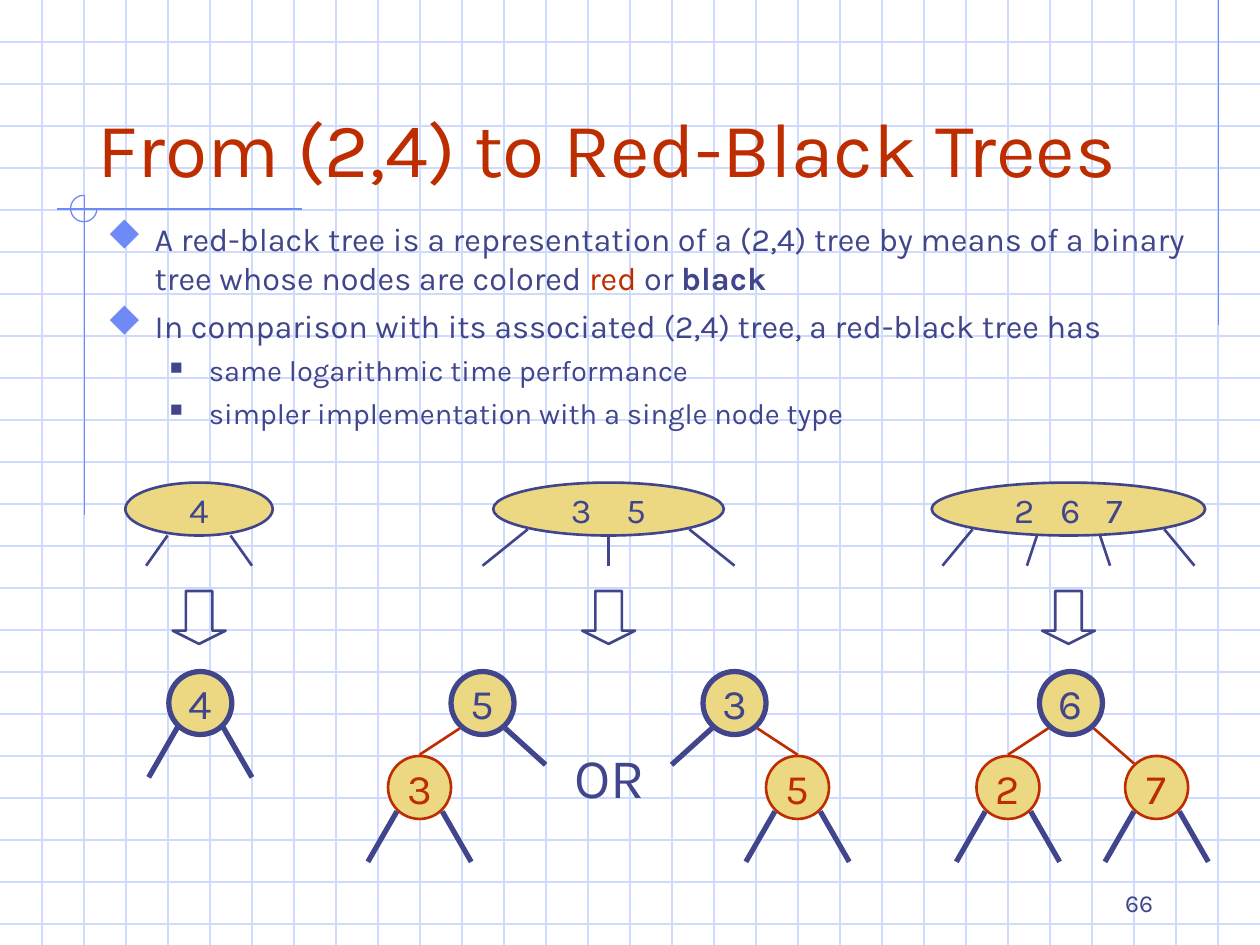
import dataclasses

import pptx
import pptx.dml.color
import pptx.enum.shapes
import pptx.enum.text
import pptx.oxml.ns
import pptx.util
from lxml import etree
from pptx.util import Inches


@dataclasses.dataclass(frozen=True)
class Theme:
    font: str = "Karla"
    bullet_font: str = "Wingdings"
    ink: str = "40458C"
    red: str = "BE2D00"
    accent: str = "6F89F7"
    grid: str = "CFDBFD"
    node: str = "ECD882"
    title_size: float = 44
    body_size: float = 18.5
    sub_size: float = 16.6
    key_size: float = 20
    node_size: float = 24
    or_size: float = 32
    number_size: float = 14
    hair: float = 0.75
    thin: float = 1.5
    thick: float = 3


theme = Theme()
rgb = pptx.dml.color.RGBColor.from_string
qn = pptx.oxml.ns.qn
shape_type = pptx.enum.shapes.MSO_SHAPE
alignment = pptx.enum.text.PP_ALIGN
anchor = pptx.enum.text.MSO_ANCHOR

presentation = pptx.Presentation()
presentation.slide_width = Inches(10)
presentation.slide_height = Inches(7.5)
slide = presentation.slides.add_slide(presentation.slide_layouts[5])
shapes = slide.shapes


def add_line(x1, y1, x2, y2, color, width):
    line = shapes.add_connector(pptx.enum.shapes.MSO_CONNECTOR.STRAIGHT,
                                Inches(x1), Inches(y1), Inches(x2), Inches(y2))
    line.line.color.rgb = rgb(color)
    line.line.width = pptx.util.Pt(width)
    etree.SubElement(line._element.spPr, qn("a:effectLst"))


def add_oval(center, top, width, height, keys, size, color, outline, gap=0):
    oval = shapes.add_shape(shape_type.OVAL, Inches(center - width / 2), Inches(top),
                            Inches(width), Inches(height))
    oval.shadow.inherit = False
    oval.fill.solid()
    oval.fill.fore_color.rgb = rgb(theme.node)
    oval.line.color.rgb = rgb(color)
    oval.line.width = pptx.util.Pt(outline)
    frame = oval.text_frame
    frame.word_wrap = False
    frame.vertical_anchor = anchor.MIDDLE
    paragraph = frame.paragraphs[0]
    paragraph.alignment = alignment.CENTER
    for character in " ".join(keys):
        run = paragraph.add_run()
        run.text = character
        run.font.name = theme.font
        run.font.size = pptx.util.Pt(size)
        run.font.color.rgb = rgb(color)
        if character == " ":
            run.font._element.set("spc", str(gap * 100))


for row in range(1, 23):
    add_line(0, row / 3, 10, row / 3, theme.grid, theme.hair)
for column in range(1, 30):
    add_line(column / 3, 0, column / 3, 7.5, theme.grid, theme.hair)
for ends in [(9.67, 0, 9.67, 2.58), (2.4, 1.66, 0.45, 1.66), (0.67, 1.55, 0.67, 4.09)]:
    add_line(*ends, theme.accent, theme.hair)

arc = shapes.add_shape(shape_type.ARC, Inches(0.56), Inches(1.55), Inches(0.21), Inches(0.21))
arc.adjustments[0] = 0
arc.adjustments[1] = 162
arc.shadow.inherit = False
arc.fill.background()
arc.line.color.rgb = rgb(theme.accent)
arc.line.width = pptx.util.Pt(theme.hair)

title = shapes.title
shapes._spTree.append(title._element)
title.left, title.top, title.width, title.height = (
    Inches(0.67), Inches(0.33), Inches(8.92), Inches(1.25))
title.text_frame.vertical_anchor = anchor.BOTTOM
title.text_frame.auto_size = pptx.enum.text.MSO_AUTO_SIZE.NONE
paragraph = title.text_frame.paragraphs[0]
paragraph.alignment = alignment.LEFT
run = paragraph.add_run()
run.text = "From (2,4) to Red-Black Trees"
run.font.name = theme.font
run.font.size = pptx.util.Pt(theme.title_size)
run.font.color.rgb = rgb(theme.red)

body = shapes.add_textbox(Inches(0.75), Inches(1.69), Inches(8.83), Inches(1.98))
body.text_frame.word_wrap = True
levels = [
    (0.38, 0.38, "u", theme.accent, 110, theme.body_size, 5),
    (0.81, 0.31, "n", theme.ink, 60, theme.sub_size, 4.5),
]
points = [
    (0, [("A red-black tree is a representation of a (2,4) tree by means of a binary "
          "tree whose nodes are colored ", theme.ink, False),
         ("red", theme.red, False), (" or ", theme.ink, False), ("black", theme.ink, True)]),
    (0, [("In comparison with its associated (2,4) tree, a red-black tree has",
          theme.ink, False)]),
    (1, [("same logarithmic time performance", theme.ink, False)]),
    (1, [("simpler implementation with a single node type", theme.ink, False)]),
]
for index, (level, runs) in enumerate(points):
    margin, hanging, bullet, bullet_color, bullet_scale, size, space = levels[level]
    paragraph = body.text_frame.paragraphs[0] if index == 0 else body.text_frame.add_paragraph()
    paragraph.level = level
    properties = paragraph._p.get_or_add_pPr()
    properties.set("marL", str(Inches(margin)))
    properties.set("indent", str(-Inches(hanging)))
    color_element = etree.SubElement(properties, qn("a:buClr"))
    etree.SubElement(color_element, qn("a:srgbClr"), val=bullet_color)
    etree.SubElement(properties, qn("a:buSzPct"), val=str(bullet_scale * 1000))
    etree.SubElement(properties, qn("a:buFont"), typeface=theme.bullet_font,
                     pitchFamily="2", charset="2")
    etree.SubElement(properties, qn("a:buChar"), char=bullet)
    if index:
        paragraph.space_before = pptx.util.Pt(space)
    for text, color, bold in runs:
        run = paragraph.add_run()
        run.text = text
        run.font.name = theme.font
        run.font.size = pptx.util.Pt(size)
        run.font.bold = bold
        run.font.color.rgb = rgb(color)

multiway_nodes = [
    (1.58, 1.17, "4", 0, [(0.25, 4.25, 0.42)]),
    (4.83, 1.83, "35", 15, [(0, 4.25, 0), (0.64, 4.2, 1)]),
    (8.48, 2.17, "267", 10, [(0.25, 4.25, 0.33), (0.76, 4.2, 1)]),
]
for center, width, keys, gap, branches in multiway_nodes:
    add_oval(center, 3.83, width, 0.42, keys, theme.key_size, theme.ink, theme.thin, gap)
    for start, top, end in branches:
        for side in ((-1, 1) if start else (1,)):
            add_line(center + side * start, top, center + side * end, 4.49,
                     theme.ink, theme.thin)
    arrow = shapes.add_shape(shape_type.DOWN_ARROW, Inches(center - 0.21), Inches(4.69),
                             Inches(0.42), Inches(0.42))
    arrow.adjustments[0] = 0.5
    arrow.adjustments[1] = 0.25
    arrow.shadow.inherit = False
    arrow.fill.background()
    arrow.line.color.rgb = rgb(theme.ink)
    arrow.line.width = pptx.util.Pt(theme.thin)

binary_trees = [
    (1.59, "4", []),
    (3.83, "5", [(-1, 3.33, "3", 5.99), (1, None, None, 6.07)]),
    (5.83, "3", [(-1, None, None, 6.07), (1, 6.33, "5", 5.99)]),
    (8.5, "6", [(-1, 8, "2", 5.99), (1, 9.18, "7", 6.06)]),
]
for root, root_key, children in binary_trees:
    add_oval(root, 5.33, 0.5, 0.5, root_key, theme.node_size, theme.ink, theme.thick)
    parents = [] if children else [(root, 5.33)]
    for side, center, key, end in children:
        color, width = (theme.red, theme.thin) if key else (theme.ink, theme.thick)
        add_line(root + side * 0.18, 5.78, root + side * 0.5, end, color, width)
        if key:
            add_oval(center, 6, 0.5, 0.5, key, theme.node_size, theme.red, theme.thin)
            parents.append((center, 6))
    for center, top in parents:
        for side in (-1, 1):
            add_line(center + side * 0.18, top + 0.44, center + side * 0.41, top + 0.84,
                     theme.ink, theme.thick)

labels = [
    ("OR", 4.43, 5.84, 0.82, 0.64, theme.or_size, alignment.CENTER, anchor.TOP),
    ("66", 7.17, 6.83, 2.08, 0.5, theme.number_size, alignment.RIGHT, anchor.BOTTOM),
]
for text, left, top, width, height, size, align, vertical in labels:
    label = shapes.add_textbox(Inches(left), Inches(top), Inches(width), Inches(height))
    label.text_frame.word_wrap = True
    label.text_frame.vertical_anchor = vertical
    paragraph = label.text_frame.paragraphs[0]
    paragraph.alignment = align
    run = paragraph.add_run()
    run.text = text
    run.font.name = theme.font
    run.font.size = pptx.util.Pt(size)
    run.font.color.rgb = rgb(theme.ink)

presentation.save("out.pptx")
